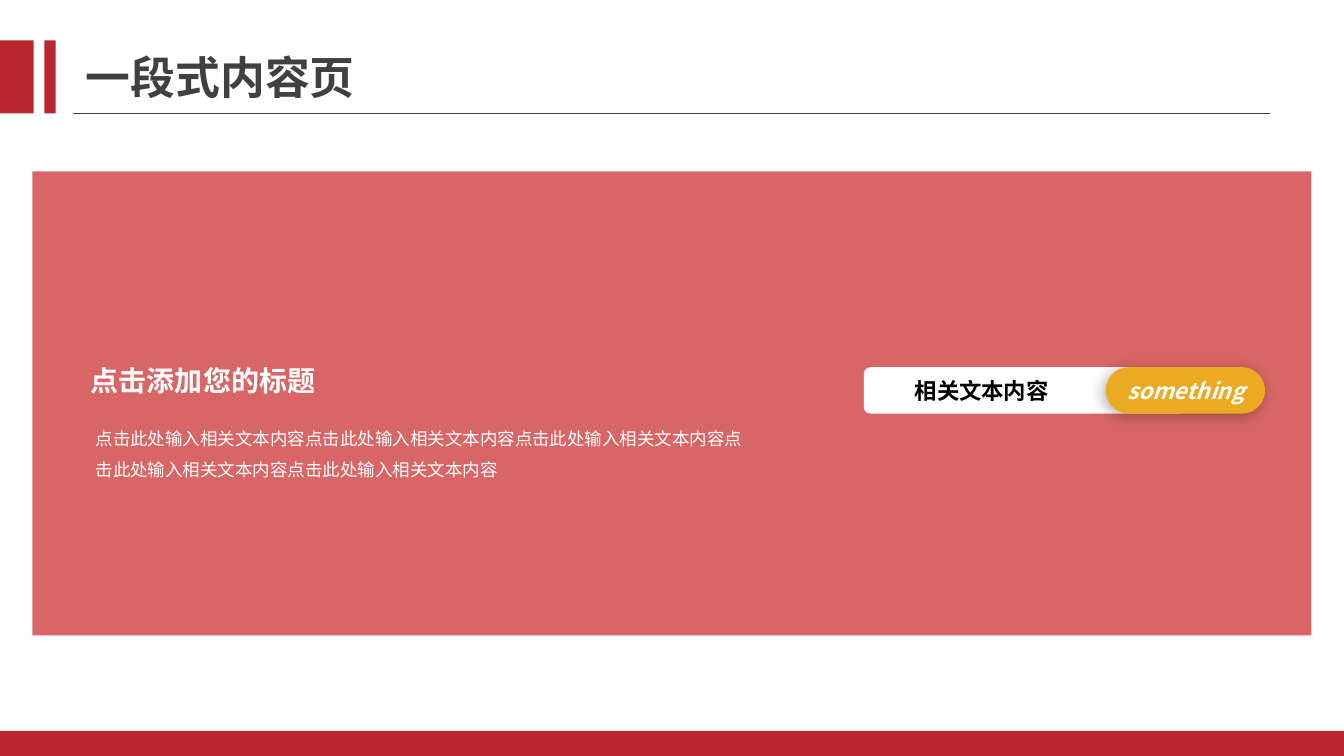
from lxml import etree
from pptx import Presentation
from pptx.dml.color import RGBColor
from pptx.enum.shapes import MSO_CONNECTOR, MSO_SHAPE
from pptx.enum.text import MSO_ANCHOR, MSO_AUTO_SIZE, PP_ALIGN
from pptx.oxml.ns import qn
from pptx.util import Inches, Pt

RECT, ROUND = MSO_SHAPE.RECTANGLE, MSO_SHAPE.ROUNDED_RECTANGLE
STRAIGHT = MSO_CONNECTOR.STRAIGHT
LEFT, CENTER = PP_ALIGN.LEFT, PP_ALIGN.CENTER
TOP, MIDDLE = MSO_ANCHOR.TOP, MSO_ANCHOR.MIDDLE
NO_FIT, GROW = MSO_AUTO_SIZE.NONE, MSO_AUTO_SIZE.SHAPE_TO_FIT_TEXT

WHITE = RGBColor(0xFF, 0xFF, 0xFF)
BLACK = RGBColor(0, 0, 0)
GRAY = RGBColor(0x40, 0x40, 0x40)
BRAND_RED = RGBColor(0xB8, 0x28, 0x2E)
PANEL_RED = RGBColor(0xC0, 0, 0)
AMBER = RGBColor(0xEA, 0xAB, 0x22)
COLS, ROWS = 80, 45


class Deck:
    """Holds the style and the current slide; boxes are in grid columns and rows."""

    font = "Noto Sans CJK SC"

    def __init__(self):
        self.prs = Presentation()
        self.prs.slide_width, self.prs.slide_height = Inches(13.33), Inches(7.5)
        self.s = self.prs.slides.add_slide(self.prs.slide_layouts[5])

    def grid(self, *box):
        """Turn alternating columns and rows into slide lengths."""
        units = (self.prs.slide_width / COLS, self.prs.slide_height / ROWS)
        return [round(v * units[i % 2]) for i, v in enumerate(box)]

    def shape(self, box, color, kind=RECT, radius=None, opacity=None):
        sp = self.s.shapes.add_shape(kind, *self.grid(*box))
        sp.shadow.inherit = False
        sp.fill.solid()
        sp.fill.fore_color.rgb = color
        sp.line.fill.background()
        if radius is not None:
            sp.adjustments[0] = radius
        if opacity is not None:
            clr = sp._element.spPr.find(".//" + qn("a:srgbClr"))
            etree.SubElement(clr, qn("a:alpha"), val=str(opacity * 1000))
        return sp

    def cast_shadow(self, sp, blur, dist, angle, opacity):
        effects = sp._element.spPr.find(qn("a:effectLst"))
        shadow = etree.SubElement(
            effects, qn("a:outerShdw"), blurRad=str(Pt(blur)), dist=str(Pt(dist)),
            dir=str(angle * 60000), algn="tr", rotWithShape="0")
        clr = etree.SubElement(shadow, qn("a:srgbClr"), val=str(BLACK))
        etree.SubElement(clr, qn("a:alpha"), val=str(opacity * 1000))

    def rule(self, ends, color, width):
        line = self.s.shapes.add_connector(STRAIGHT, *self.grid(*ends))
        line.line.color.rgb = color
        line.line.width = Pt(width)
        etree.SubElement(line._element.spPr, qn("a:effectLst"))

    def set_text(self, sp, text, size, color, align=LEFT, spacing=None,
                 anchor=TOP, wrap=True, fit=GROW, **style):
        tf = sp.text_frame
        frame = {"word_wrap": wrap, "auto_size": fit, "vertical_anchor": anchor}
        for name, value in frame.items():
            setattr(tf, name, value)
        p = tf.paragraphs[0]
        p.alignment, p.line_spacing = align, spacing
        r = p.add_run()
        r.text = text
        style = {"name": self.font, "size": Pt(size), **style}
        for name, value in style.items():
            setattr(r.font, name, value)
        r.font.color.rgb = color
        etree.SubElement(r.font._element, qn("a:ea"), typeface=self.font)

    def text(self, box, text, size, color, **style):
        sp = self.s.shapes.add_textbox(*self.grid(*box))
        self.set_text(sp, text, size, color, **style)

    def title(self, box, text):
        sp = self.s.shapes.title
        sp.left, sp.top, sp.width, sp.height = self.grid(*box)
        self.set_text(sp, text, 32, GRAY, spacing=0.9, anchor=MIDDLE,
                      fit=NO_FIT, bold=True)


def main():
    deck = Deck()
    deck.title((4.5, 2.04, 71.28, 5.4), "一段式内容页")
    for left, width in ((0, 2), (2.64, 0.68)):
        deck.shape((left, 2.4, width, 4.36), BRAND_RED)
    deck.rule((4.34, 6.75, 75.6, 6.75), GRAY, 1)

    deck.shape((1.92, 10.2, 76.14, 27.62), PANEL_RED, opacity=60)
    deck.text((4.74, 21.36, 14.7, 2.64), "点击添加您的标题", 20, WHITE,
              align=CENTER, wrap=False, bold=True)
    deck.text((5.1, 24.54, 40.62, 4.2), "点击此处输入相关文本内容" * 5, 12.5, WHITE,
              spacing=1.5)

    deck.shape((51.42, 21.86, 19.14, 2.76), WHITE, ROUND, radius=0.14)
    badge = deck.shape((65.82, 21.86, 9.48, 2.76), AMBER, ROUND, radius=0.5)
    deck.cast_shadow(badge, blur=11, dist=3, angle=135, opacity=30)
    deck.text((66.36, 22.14, 8.46, 2.22), "something", 16, WHITE,
              align=CENTER, wrap=False, bold=True, italic=True)
    deck.text((50.22, 22.14, 16.44, 2.22), "相关文本内容", 16, BLACK,
              align=CENTER, bold=True)

    deck.shape((0, 43.5, COLS, 1.5), BRAND_RED)
    deck.prs.save("out.pptx")


if __name__ == "__main__":
    main()
